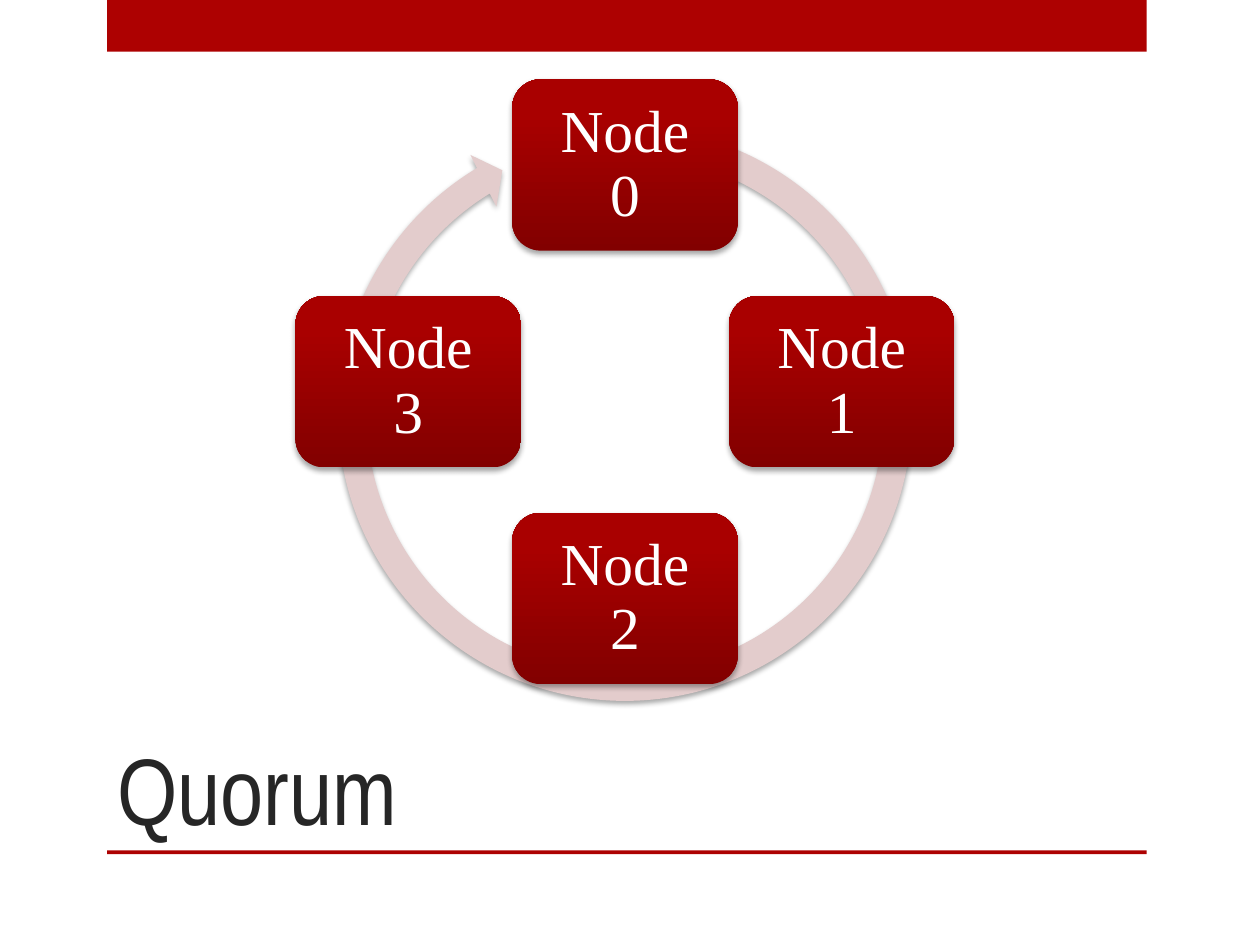
import math
import pptx
import pptx.dml.color
import pptx.enum.shapes
import pptx.enum.text
import pptx.oxml
import pptx.oxml.ns
import pptx.util

Inches = pptx.util.Inches
RGBColor = pptx.dml.color.RGBColor
Shape = pptx.enum.shapes.MSO_SHAPE
Align = pptx.enum.text.PP_ALIGN
Anchor = pptx.enum.text.MSO_ANCHOR

RED = RGBColor(0xAD, 0x01, 0x01)
NODE_TOP = RGBColor(0xA9, 0x00, 0x00)
NODE_BOTTOM = RGBColor(0x82, 0x00, 0x00)
RING = RGBColor(0xE3, 0xCC, 0xCC)
INK = RGBColor(0x26, 0x26, 0x26)
WHITE = RGBColor(0xFF, 0xFF, 0xFF)

TITLE = "Quorum"
NODES = ["Node 0", "Node 1", "Node 2", "Node 3"]
BARS = [(0, 0.41), (6.75, 0.03)]
BAR_LEFT, BAR_WIDTH = 0.85, 8.25
TITLE_BOX = (0.83, 5, 7.42, 1.75)
CENTER_X, CENTER_Y = 4.96, 3.03
ORBIT = 1.72
NODE_WIDTH, NODE_HEIGHT = 1.79, 1.36
ARROW_TOP, ARROW_SIZE = 0.89, 4.79
ARROW_ADJUSTMENTS = [0.047, 2.73, 143.24, 170.94, 0.048]

TITLE_FONT = {"name": "Arial Narrow", "size": pptx.util.Pt(54)}
NODE_FONT = {"name": "Times New Roman", "size": pptx.util.Pt(34)}
TITLE_FRAME = {"vertical_anchor": Anchor.BOTTOM, "word_wrap": True,
               "auto_size": pptx.enum.text.MSO_AUTO_SIZE.NONE}
NODE_FRAME = {"vertical_anchor": Anchor.MIDDLE, "word_wrap": True,
              "margin_left": Inches(0.2), "margin_right": Inches(0.2),
              "margin_top": Inches(0.14), "margin_bottom": Inches(0.14)}
SHADOW = (
    '<a:outerShdw xmlns:a="http://schemas.openxmlformats.org/drawingml/2006/main"'
    ' blurRad="40000" dist="23000" dir="5400000" rotWithShape="0">'
    '<a:srgbClr val="000000"><a:alpha val="35000"/></a:srgbClr>'
    '</a:outerShdw>'
)


def apply_format(target, values):
    for name, value in values.items():
        setattr(target, name, value)


def write_text(shape, text, frame_format, paragraph_format, font_format, color):
    frame = shape.text_frame
    frame.text = text
    apply_format(frame, frame_format)
    paragraph = frame.paragraphs[0]
    apply_format(paragraph, paragraph_format)
    font = paragraph.runs[0].font
    apply_format(font, font_format)
    font.color.rgb = color


def add_shape(slide, kind, box, color=None, shadow=False):
    shape = slide.shapes.add_shape(kind, *map(Inches, box))
    shape.line.fill.background()
    if color is not None:
        shape.fill.solid()
        shape.fill.fore_color.rgb = color
    shape.shadow.inherit = False
    if shadow:
        effects = shape.element.spPr.find(pptx.oxml.ns.qn("a:effectLst"))
        effects.append(pptx.oxml.parse_xml(SHADOW))
    return shape


def add_node(slide, index, text):
    angle = 2 * math.pi * index / len(NODES)
    left = CENTER_X + ORBIT * math.sin(angle) - NODE_WIDTH / 2
    top = CENTER_Y - ORBIT * math.cos(angle) - NODE_HEIGHT / 2
    node = add_shape(slide, Shape.ROUNDED_RECTANGLE,
                     (left, top, NODE_WIDTH, NODE_HEIGHT), shadow=True)
    node.fill.gradient()
    node.fill.gradient_angle = 90
    stops = [(0, NODE_BOTTOM), (0.8, NODE_TOP)]
    for stop, (position, color) in zip(node.fill.gradient_stops, stops):
        stop.position = position
        stop.color.rgb = color
    write_text(node, text, NODE_FRAME,
               {"alignment": Align.CENTER, "line_spacing": 0.9}, NODE_FONT, WHITE)


def main():
    presentation = pptx.Presentation()
    presentation.slide_width, presentation.slide_height = Inches(10), Inches(7.5)
    slide = presentation.slides.add_slide(presentation.slide_layouts[5])

    for top, height in BARS:
        add_shape(slide, Shape.RECTANGLE, (BAR_LEFT, top, BAR_WIDTH, height), RED)

    title = slide.shapes.title
    apply_format(title, dict(zip(("left", "top", "width", "height"),
                                 map(Inches, TITLE_BOX))))
    write_text(title, TITLE, TITLE_FRAME, {"alignment": Align.LEFT}, TITLE_FONT, INK)

    arrow_box = (CENTER_X - ARROW_SIZE / 2, ARROW_TOP, ARROW_SIZE, ARROW_SIZE)
    arrow = add_shape(slide, Shape.CIRCULAR_ARROW, arrow_box, RING, shadow=True)
    for index, value in enumerate(ARROW_ADJUSTMENTS):
        arrow.adjustments[index] = value

    for index, text in enumerate(NODES):
        add_node(slide, index, text)

    presentation.save("out.pptx")


if __name__ == "__main__":
    main()
